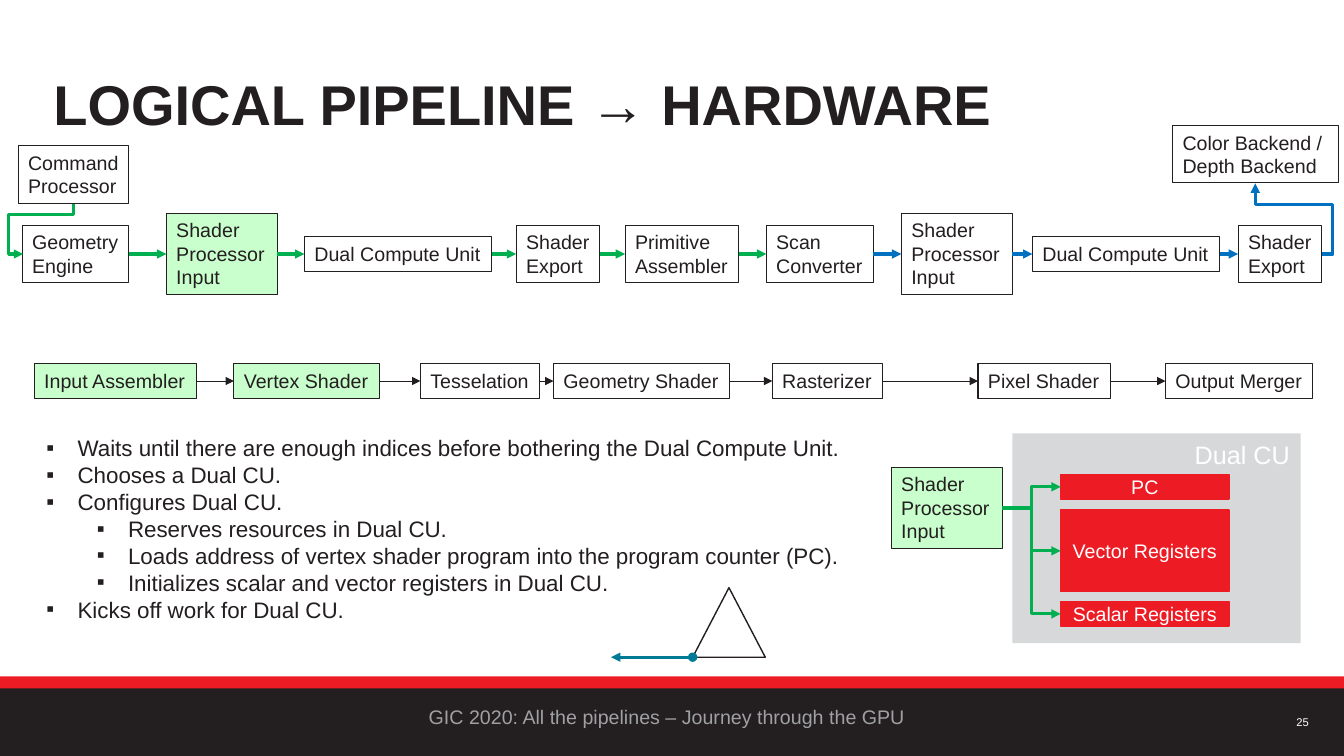
from itertools import pairwise

from lxml import etree
from pptx import Presentation
from pptx.dml.color import RGBColor
from pptx.enum.shapes import MSO_CONNECTOR as CXN, MSO_SHAPE as SHAPE
from pptx.enum.text import MSO_ANCHOR as ANCHOR, MSO_AUTO_SIZE as AUTO, PP_ALIGN as ALIGN
from pptx.oxml.ns import qn
from pptx.util import Inches, Pt

INK, WHITE, RED, MINT = "231E1F", "FFFFFF", "ED1C24", "C9FFCD"
GREEN, BLUE, TEAL = "00B050", "0070C0", "007B96"
LINE_HEIGHTS = {1: 0.34, 2: 0.57, 3: 0.81}
SPI = "Shader\vProcessor\vInput"


def rgb(value):
    return RGBColor.from_string(value)


def write(sp, text, size, color=INK, align=ALIGN.LEFT, anchor=ANCHOR.TOP, wrap=False, bold=False):
    tf = sp.text_frame
    tf.text = text
    tf.word_wrap, tf.vertical_anchor, tf.auto_size = wrap, anchor, AUTO.NONE
    for p in tf.paragraphs:
        p.alignment = align
        for r in p.runs:
            r.font.name, r.font.size, r.font.bold = "Arial", Pt(size), bold
            r.font.color.rgb = rgb(color)
    return tf


def add_shape(slide, kind, x, y, w, h, fill=None, line=None, weight=1):
    sp = slide.shapes.add_shape(kind, Inches(x), Inches(y), Inches(w), Inches(h))
    sp.shadow.inherit = False
    if fill:
        sp.fill.solid()
        sp.fill.fore_color.rgb = rgb(fill)
    else:
        sp.fill.background()
    if line:
        sp.line.color.rgb = rgb(line)
        sp.line.width = Pt(weight)
    else:
        sp.line.fill.background()
    return sp


def add_text(slide, text, x, y, w, h, size, color, **style):
    sp = slide.shapes.add_textbox(Inches(x), Inches(y), Inches(w), Inches(h))
    write(sp, text, size, color, **style)


def add_arrow(slide, start, end, color, weight=2.25, kind=CXN.STRAIGHT, head=None):
    cx = slide.shapes.add_connector(kind, *(Inches(v) for v in (*start, *end)))
    cx.line.color.rgb = rgb(color)
    cx.line.width = Pt(weight)
    ln = cx.line._get_or_add_ln()
    if head:
        etree.SubElement(ln, qn("a:headEnd"), type=head)
    etree.SubElement(ln, qn("a:tailEnd"), type="triangle")
    etree.SubElement(cx._element.spPr, qn("a:effectLst"))
    return cx


def link(slide, source, target, color, weight=2.25, kind=CXN.STRAIGHT):
    """Arrow from the right side of one box to the left side of the next."""
    cx = add_arrow(slide, (0, 0), (1, 1), color, weight, kind)
    cx.begin_connect(source, 3)
    cx.end_connect(target, 1)


def add_detour(slide, start, end, color, adjustments, turn=0):
    """Elbow arrow with four segments."""
    cx = add_arrow(slide, start, end, color, kind=CXN.ELBOW)
    spPr = cx._element.spPr
    if turn:
        spPr.find(qn("a:xfrm")).set("rot", str(turn * 60000))
    geom = spPr.find(qn("a:prstGeom"))
    geom.set("prst", "bentConnector4")
    guides = geom.find(qn("a:avLst"))
    for i, value in enumerate(adjustments, 1):
        etree.SubElement(guides, qn("a:gd"), name=f"adj{i}", fmla=f"val {value}")


def add_stage(slide, text, x, middle, w, fill=None):
    """Box centred on the given height, as tall as its lines need."""
    h = LINE_HEIGHTS[len(text.splitlines())]
    sp = add_shape(slide, SHAPE.RECTANGLE, x, middle - h / 2, w, h, fill, INK, 0.75)
    write(sp, text, 14)
    return sp


def add_row(slide, left, middle, stages, colors, weight):
    boxes = [add_stage(slide, text, left + x, middle, w, fill) for text, x, w, fill in stages]
    for (a, b), color in zip(pairwise(boxes), colors):
        link(slide, a, b, color, weight)


def hardware_pipeline(slide, left, middle):
    add_row(slide, left, middle, [
        ("Geometry\vEngine", 0, 1.06, None),
        (SPI, 1.43, 1.1, MINT),
        ("Dual Compute Unit", 2.8, 1.86, None),
        ("Shader\vExport", 4.9, 0.83, None),
        ("Primitive\vAssembler", 5.98, 1.13, None),
        ("Scan\vConverter", 7.38, 1.06, None),
        (SPI, 8.72, 1.1, None),
        ("Dual Compute Unit", 10.02, 1.86, None),
        ("Shader\vExport", 12.06, 0.83, None),
    ], [GREEN] * 5 + [BLUE] * 3, 2.25)
    # Entry and exit above the row
    add_stage(slide, "Command\vProcessor", left - 0.04, middle - 0.79, 1.1)
    add_stage(slide, "Color Backend /\nDepth Backend", left + 11.41, middle - 0.99, 1.65)
    add_detour(slide, (left + 0.01, middle - 0.5), (left + 0.51, middle), GREEN,
               (21400, 129000), turn=90)
    add_detour(slide, (left + 12.89, middle), (left + 12.23, middle - 0.7), BLUE,
               (-16800, 70500))


def logical_pipeline(slide, left, middle):
    add_row(slide, left, middle, [
        ("Input Assembler", 0, 1.61, MINT),
        ("Vertex Shader", 1.98, 1.44, MINT),
        ("Tesselation", 3.83, 1.18, None),
        ("Geometry Shader", 5.15, 1.75, None),
        ("Rasterizer", 7.32, 1.09, None),
        ("Pixel Shader", 9.36, 1.31, None),
        ("Output Merger", 11.22, 1.46, None),
    ], [INK] * 6, 0.5)


def dual_cu(slide, x, y, w, h):
    add_shape(slide, SHAPE.RECTANGLE, x, y, w, h, "D7D8DA")
    add_text(slide, "Dual CU", x + w - 1.15, y + 0.01, 1.16, 0.4, 18, WHITE)
    spi = add_stage(slide, SPI, x - 1.2, y + 0.74, 1.1, MINT)
    parts = [("PC", 0.41, 0.24), ("Vector Registers", 0.76, 0.81), ("Scalar Registers", 1.67, 0.24)]
    for text, dy, part_h in parts:
        sp = add_shape(slide, SHAPE.RECTANGLE, x + 0.48, y + dy, 1.67, part_h, RED, RED)
        write(sp, text, 14, WHITE, ALIGN.CENTER, ANCHOR.MIDDLE)
        link(slide, spi, sp, GREEN, kind=CXN.ELBOW)


def place(sp, x, y, w, h):
    sp.left, sp.top, sp.width, sp.height = (Inches(v) for v in (x, y, w, h))


def title(slide, x, y, w, h):
    sp = slide.shapes.title
    place(sp, x, y, w, h)
    tf = write(sp, "LOGICAL PIPELINE → HARDWARE", 40, anchor=ANCHOR.MIDDLE, wrap=True, bold=True)
    tf.paragraphs[0].line_spacing = 0.9


def steps(slide, x, y, w, h):
    items = [
        (0, "Waits until there are enough indices before bothering the Dual Compute Unit."),
        (0, "Chooses a Dual CU."),
        (0, "Configures Dual CU."),
        (1, "Reserves resources in Dual CU."),
        (1, "Loads address of vertex shader program into the program counter (PC)."),
        (1, "Initializes scalar and vector registers in Dual CU."),
        (0, "Kicks off work for Dual CU."),
    ]
    sp = slide.placeholders[1]
    place(sp, x, y, w, h)
    tf = write(sp, "\n".join(text for _, text in items), 16, wrap=True)
    for p, (level, _) in zip(tf.paragraphs, items):
        p.level = level
        p.space_before, p.line_spacing = Pt(0), Pt(19.2)
        pPr = p._p.get_or_add_pPr()
        pPr.set("marL", str(Inches(0.31 + 0.5 * level)))
        pPr.set("indent", str(-Inches(0.31)))
        etree.SubElement(pPr, qn("a:buFont"), typeface="Arial")
        etree.SubElement(pPr, qn("a:buChar"), char="▪")


def moving_triangle(slide, x, y, w, h):
    add_shape(slide, SHAPE.ISOSCELES_TRIANGLE, x, y, w, h, line=INK)
    add_arrow(slide, (x, y + h), (x - 0.81, y + h), TEAL, head="oval")


def footer(slide, y, w, h):
    add_shape(slide, SHAPE.RECTANGLE, 0, y, w, h, RED)
    add_shape(slide, SHAPE.RECTANGLE, 0, y + 0.12, w, h - 0.12, INK)
    add_text(slide, "GIC 2020: All the pipelines – Journey through the GPU", 4.21, y + 0.23, 4.81,
             0.33, 14, "A0A1A4", align=ALIGN.CENTER, anchor=ANCHOR.MIDDLE)
    add_text(slide, "25", w - 0.6, y + 0.34, 0.38, 0.22, 8, WHITE,
             align=ALIGN.CENTER, anchor=ANCHOR.MIDDLE)


def main():
    prs = Presentation()
    prs.slide_width, prs.slide_height = Inches(13.33), Inches(7.5)
    slide = prs.slides.add_slide(prs.slide_layouts[1])
    footer(slide, 6.71, 13.33, 0.79)
    title(slide, 0.43, 0.49, 12.48, 1.14)
    logical_pipeline(slide, 0.34, 3.78)
    hardware_pipeline(slide, 0.22, 2.52)
    steps(slide, 0.36, 4.26, 8.17, 2.29)
    dual_cu(slide, 10.04, 4.3, 2.86, 2.08)
    moving_triangle(slide, 6.87, 5.83, 0.72, 0.69)
    prs.save("out.pptx")


if __name__ == "__main__":
    main()
